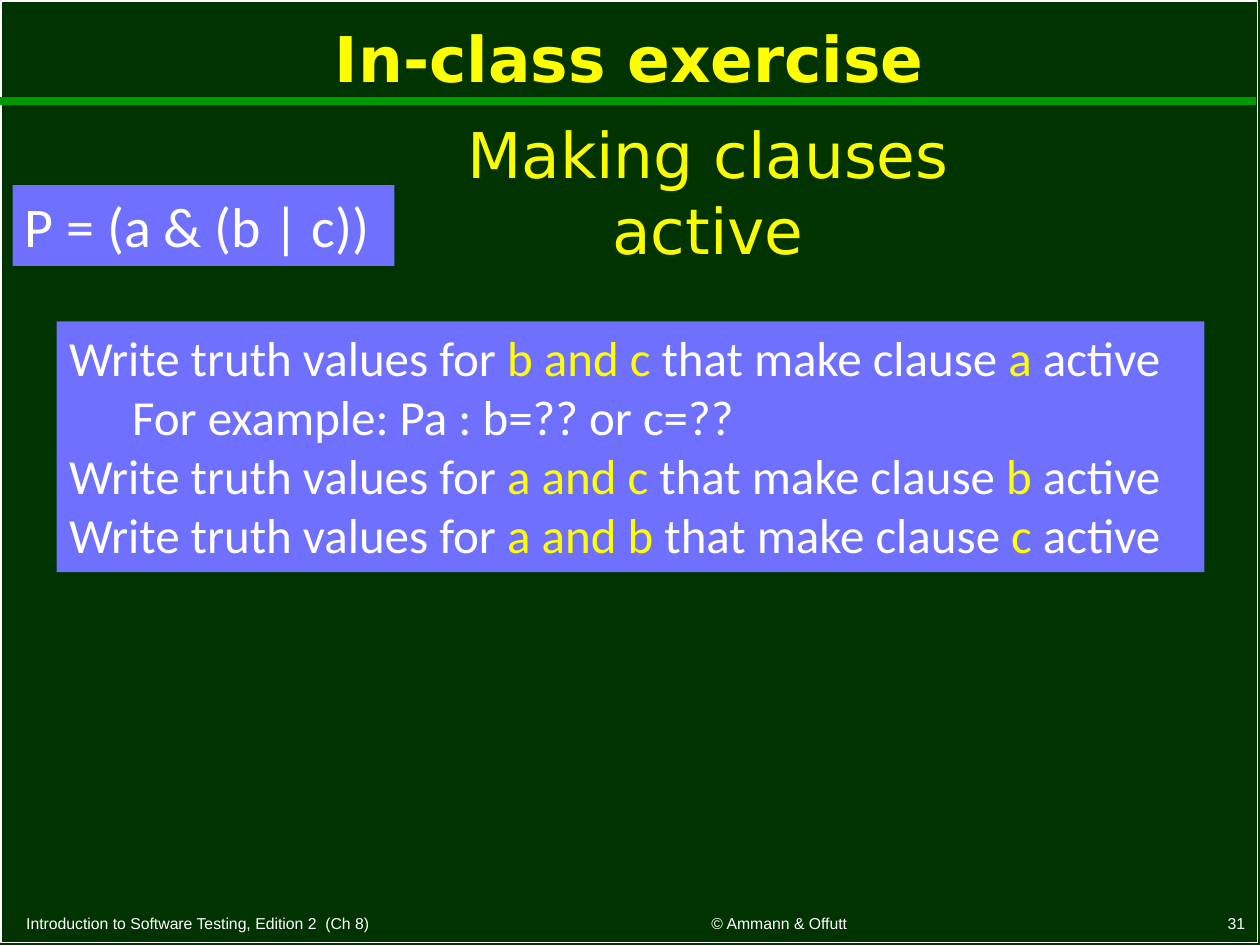
from dataclasses import dataclass

import pptx
import pptx.dml.color
import pptx.enum.shapes
import pptx.enum.text
import pptx.oxml
import pptx.oxml.ns
import pptx.util

Inches = pptx.util.Inches
Pt = pptx.util.Pt
RGBColor = pptx.dml.color.RGBColor
Align = pptx.enum.text.PP_ALIGN
Anchor = pptx.enum.text.MSO_ANCHOR
RECTANGLE = pptx.enum.shapes.MSO_SHAPE.RECTANGLE

DARK_GREEN = RGBColor(0x00, 0x33, 0x00)
RULE_GREEN = RGBColor(0x00, 0x99, 0x00)
PANEL_BLUE = RGBColor(0x70, 0x70, 0xFF)
WHITE = RGBColor(0xFF, 0xFF, 0xFF)
YELLOW = RGBColor(0xFF, 0xFF, 0x00)
SUBTITLE_YELLOW = RGBColor(0xFA, 0xFD, 0x00)


@dataclass(frozen=True)
class Box:
    left: float
    top: float
    width: float
    height: float

    def lengths(self) -> list[pptx.util.Length]:
        return [Inches(n) for n in (self.left, self.top, self.width, self.height)]


@dataclass(frozen=True)
class Style:
    size: float
    font: str
    color: RGBColor = WHITE
    bold: bool = False
    align: Align = Align.LEFT
    anchor: Anchor = Anchor.TOP
    spacing: float = 1.0
    wrap: bool = True


@dataclass(frozen=True)
class Label:
    text: str
    box: Box
    style: Style


TITLE = Style(36, "DejaVu Sans", YELLOW, True, Align.CENTER, Anchor.MIDDLE, 0.9)
SUBTITLE = Style(36, "DejaVu Sans", SUBTITLE_YELLOW, align=Align.CENTER, wrap=False)
FORMULA = Style(32, "Calibri")
TASK = Style(28, "Calibri")


def footer_style(align: Align) -> Style:
    return Style(9, "Arial", align=align, anchor=Anchor.BOTTOM)


LABELS = [
    Label("In-class exercise", Box(0.1, 0.05, 9.79, 0.88), TITLE),
    Label("Introduction to Software Testing, Edition 2  (Ch 8)",
          Box(0.11, 7.2, 4.27, 0.25), footer_style(Align.LEFT)),
    Label("© Ammann & Offutt", Box(4.6, 7.19, 3.17, 0.26), footer_style(Align.CENTER)),
    Label("31", Box(7.9, 7.19, 2.08, 0.26), footer_style(Align.RIGHT)),
    Label("Making clauses active", Box(2.77, 0.87, 5.7, 0.71), SUBTITLE),
]


def write_lines(shape, lines: list[str], style: Style) -> None:
    """Fill a shape with lines whose parts between asterisks are yellow."""
    frame = shape.text_frame
    frame.word_wrap = style.wrap
    frame.vertical_anchor = style.anchor
    for index, line in enumerate(lines):
        paragraph = frame.add_paragraph() if index else frame.paragraphs[0]
        paragraph.alignment = style.align
        paragraph.line_spacing = style.spacing
        paragraph.font.size = Pt(style.size)
        paragraph.font.name = style.font
        paragraph.font.bold = style.bold
        paragraph.font.color.rgb = style.color
        for position, part in enumerate(line.split("*")):
            run = paragraph.add_run()
            run.text = part
            if position % 2:
                run.font.color.rgb = YELLOW


def add_label(slide, label: Label) -> None:
    write_lines(slide.shapes.add_textbox(*label.box.lengths()), [label.text], label.style)


def add_panel(slide, box: Box, lines: list[str], style: Style) -> None:
    panel = slide.shapes.add_shape(RECTANGLE, *box.lengths())
    panel.shadow.inherit = False
    panel.fill.solid()
    panel.fill.fore_color.rgb = PANEL_BLUE
    panel.line.fill.background()
    write_lines(panel, lines, style)


def add_frame(slide) -> None:
    """Draw the slide border and the rule under the title."""
    border = slide.shapes.add_shape(RECTANGLE, *Box(0.01, 0.01, 9.97, 7.47).lengths())
    border.shadow.inherit = False
    border.fill.background()
    border.line.color.rgb = WHITE
    border.line.width = Pt(1)

    rule = slide.shapes.add_connector(
        pptx.enum.shapes.MSO_CONNECTOR.STRAIGHT,
        Inches(0), Inches(0.8), Inches(9.97), Inches(0.8))
    rule.line.color.rgb = RULE_GREEN
    rule.line.width = Pt(4.5)
    properties = rule._element.spPr
    properties.append(pptx.oxml.parse_xml(
        f"<a:effectLst {pptx.oxml.ns.nsdecls('a')}/>"))


def task_line(others: str, clause: str) -> str:
    return f"Write truth values for *{others}* that make clause *{clause}* active"


def main() -> None:
    presentation = pptx.Presentation()
    presentation.slide_width = Inches(10)
    presentation.slide_height = Inches(7.5)
    slide = presentation.slides.add_slide(presentation.slide_layouts[6])
    slide.background.fill.solid()
    slide.background.fill.fore_color.rgb = DARK_GREEN

    add_frame(slide)
    for label in LABELS:
        add_label(slide, label)
    tasks = [
        task_line("b and c", "a"),
        "\tFor example: Pa : b=?? or c=??",
        task_line("a and c", "b"),
        task_line("a and b", "c"),
    ]
    add_panel(slide, Box(0.45, 2.55, 9.11, 1.99), tasks, TASK)
    add_panel(slide, Box(0.1, 1.47, 3.03, 0.64), ["P = (a & (b | c))"], FORMULA)
    presentation.save("out.pptx")


if __name__ == "__main__":
    main()
